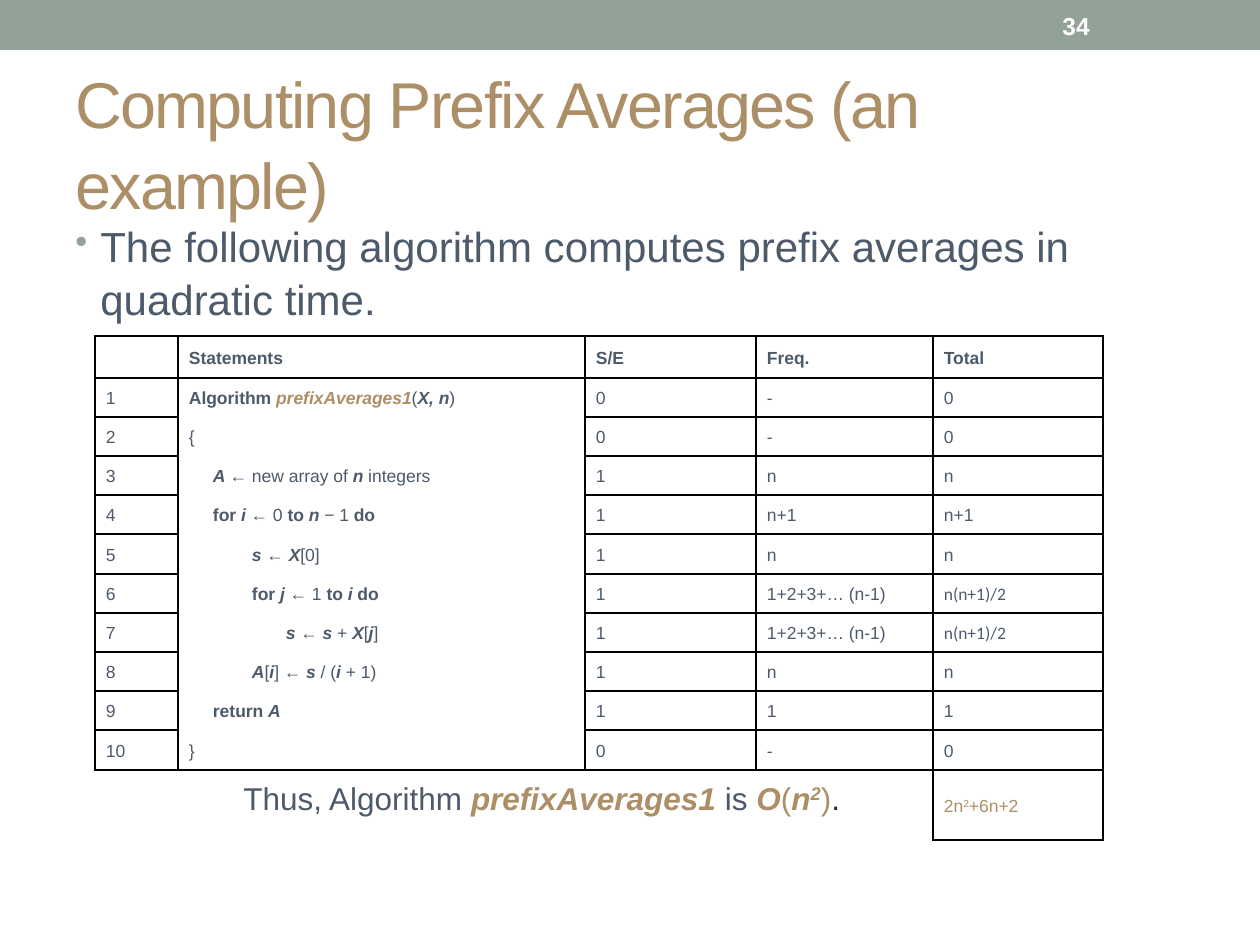
from dataclasses import dataclass

from lxml import etree
from pptx import Presentation
from pptx.dml.color import RGBColor
from pptx.enum.shapes import MSO_SHAPE
from pptx.enum.text import MSO_ANCHOR
from pptx.oxml.ns import qn
from pptx.util import Pt

RECTANGLE = MSO_SHAPE.RECTANGLE
TOP, MIDDLE = MSO_ANCHOR.TOP, MSO_ANCHOR.MIDDLE
SCALE = 914400 / 126


def emu(px):
    return round(px * SCALE)


@dataclass(frozen=True)
class Theme:
    font: str = "Arial"
    formula_font: str = "Calibri"
    bar: str = "93A299"
    accent: str = "AD8F67"
    text: str = "4C5A6A"
    stop: str = "292934"
    white: str = "FFFFFF"
    grid: str = "000000"
    title_size: int = 37
    body_size: int = 24
    note_size: int = 18
    number_size: int = 14
    cell_size: int = 10


class SlideBuilder:
    """Draws styled elements on the current slide."""

    def __init__(self, deck, theme):
        self.theme = theme
        self.page = deck.slides.add_slide(deck.slide_layouts[6])

    def bar(self, left, top, width, height):
        bar = self.page.shapes.add_shape(RECTANGLE, *map(emu, (left, top, width, height)))
        bar.shadow.inherit = False
        bar.fill.solid()
        bar.fill.fore_color.rgb = RGBColor.from_string(self.theme.bar)
        bar.line.fill.background()

    def fill_para(self, para, runs, size, color, font=None):
        """Runs are (text, flags): b bold, i italic, a accent, s superscript, d dark."""
        para.font.name = font or self.theme.font
        para.font.size = Pt(size)
        para.font.color.rgb = RGBColor.from_string(color)
        for text, flags in runs:
            span = para.add_run()
            span.text = text
            if "b" in flags:
                span.font.bold = True
            if "i" in flags:
                span.font.italic = True
            if "a" in flags:
                span.font.color.rgb = RGBColor.from_string(self.theme.accent)
            if "d" in flags:
                span.font.color.rgb = RGBColor.from_string(self.theme.stop)
            if "s" in flags:
                span.font._element.set("baseline", "30000")

    def text(self, area, runs, size, color, anchor=TOP, spacing=1.0, hang=0,
             bullet=None, tracking=0, right_inset=12):
        box = self.page.shapes.add_textbox(*map(emu, area))
        frame = box.text_frame
        frame.word_wrap = True
        frame.vertical_anchor = anchor
        frame.margin_right = emu(right_inset)
        para = frame.paragraphs[0]
        self.fill_para(para, runs, size, color)
        para.line_spacing = spacing
        if hang:
            self.indent(para, hang, -hang)
        if bullet:
            self.bullet(para, bullet)
        if tracking:
            for span in para.runs:
                span.font._element.set("spc", str(tracking * 100))

    def indent(self, para, left, first=0):
        properties = para._p.get_or_add_pPr()
        properties.set("marL", str(emu(left)))
        properties.set("indent", str(emu(first)))

    def bullet(self, para, mark):
        properties = para._p.get_or_add_pPr()
        color = etree.Element(qn("a:buClr"))
        etree.SubElement(color, qn("a:srgbClr"), val=self.theme.bar)
        size = etree.Element(qn("a:buSzPct"), val="85000")
        char = etree.Element(qn("a:buChar"), char=mark)
        default_run = properties.find(qn("a:defRPr"))
        for element in (color, size, char):
            default_run.addprevious(element)

    def border(self, cell, side, visible):
        line = etree.SubElement(cell._tc.get_or_add_tcPr(), qn(f"a:ln{side}"), w=str(Pt(1)))
        if visible:
            fill = etree.SubElement(line, qn("a:solidFill"))
            etree.SubElement(fill, qn("a:srgbClr"), val=self.theme.grid)
        else:
            etree.SubElement(line, qn("a:noFill"))

    def table(self, left, top, widths, heights):
        frame = self.page.shapes.add_table(
            len(heights), len(widths), *map(emu, (left, top, sum(widths), sum(heights))))
        table = frame.table
        table.first_row = table.horz_banding = False
        for column, width in zip(table.columns, widths):
            column.width = emu(width)
        for row, height in zip(table.rows, heights):
            row.height = emu(height)
        return table

    def cell(self, cell, runs, edges, indent=0, font=None):
        for side, visible in edges.items():
            self.border(cell, side, visible)
        cell.fill.background()
        cell.margin_left = cell.margin_right = emu(11)
        cell.margin_top = cell.margin_bottom = emu(6)
        cell.vertical_anchor = MIDDLE
        para = cell.text_frame.paragraphs[0]
        self.fill_para(para, runs, self.theme.cell_size, self.theme.text, font)
        para.line_spacing = 1.15
        para.space_after = Pt(10)
        if indent:
            self.indent(para, indent)


INDENTS = (0, 24, 63, 97)
STEPS = [
    (0, [("Algorithm ", "b"), ("prefixAverages1", "bia"), ("(", ""), ("X, n", "bi"), (")", "")],
     "0", "-", "0"),
    (0, [("{", "")], "0", "-", "0"),
    (1, [("A ", "bi"), ("← new array of ", ""), ("n", "bi"), (" integers", "")], "1", "n", "n"),
    (1, [("for ", "b"), ("i ", "bi"), ("← 0 ", ""), ("to ", "b"), ("n ", "bi"), ("− 1 ", ""),
         ("do", "b")], "1", "n+1", "n+1"),
    (2, [("s ", "bi"), ("← ", ""), ("X", "bi"), ("[0]", "")], "1", "n", "n"),
    (2, [("for ", "b"), ("j ", "bi"), ("← 1 ", ""), ("to ", "b"), ("i ", "bi"), ("do", "b")],
     "1", "1+2+3+… (n-1)", "n(n+1)/2"),
    (3, [("s ", "bi"), ("← ", ""), ("s", "bi"), (" + ", ""), ("X", "bi"), ("[", ""), ("j", "bi"),
         ("]", "")], "1", "1+2+3+… (n-1)", "n(n+1)/2"),
    (2, [("A", "bi"), ("[", ""), ("i", "bi"), ("] ← ", ""), ("s", "bi"), (" / (", ""),
         ("i", "bi"), (" + 1)", "")], "1", "n", "n"),
    (1, [("return ", "b"), ("A", "bi")], "1", "1", "1"),
    (0, [("}", "")], "0", "-", "0"),
]
HEADINGS = ("Statements", "S/E", "Freq.", "Total")
GRAND_TOTAL = [("2n", "a"), ("2", "as"), ("+6n+2", "a")]


def line_above(row, column):
    if row == 12:
        return column == 4
    return column != 1 or row in (0, 1, 11)


def line_before(row, column):
    return row < 11 or column >= 4


def cost_table(builder):
    table = builder.table(95, 336, [83, 407, 171, 177, 170], [42] + [39, 39, 39, 39, 40] * 2 + [70])
    rows = [[[]] + [[(heading, "b")] for heading in HEADINGS]]
    for number, (_, statement, *costs) in enumerate(STEPS, 1):
        rows.append([[(str(number), "")], statement] + [[(cost, "")] for cost in costs])
    rows.append([[], [], [], [], GRAND_TOTAL])
    for row, contents in enumerate(rows):
        for column, runs in enumerate(contents):
            edges = {"L": line_before(row, column), "R": line_before(row, column + 1),
                     "T": line_above(row, column), "B": line_above(row + 1, column)}
            is_step = column == 1 and 1 <= row <= len(STEPS)
            indent = INDENTS[STEPS[row - 1][0]] if is_step else 0
            font = builder.theme.formula_font if runs == [("n(n+1)/2", "")] else None
            builder.cell(table.cell(row, column), runs, edges, indent, font)


def main():
    deck = Presentation()
    deck.slide_width, deck.slide_height = emu(1260), emu(945)
    theme = Theme()
    builder = SlideBuilder(deck, theme)
    builder.bar(0, 0, 1260, 50)
    builder.text((63, 73, 1134, 136), [("Computing Prefix Averages (an example)", "")],
                 theme.title_size, theme.accent, MIDDLE, 1.05, tracking=-1, right_inset=30)
    builder.text((63, 212, 1124, 113),
                 [("The following algorithm computes prefix averages in quadratic time.", "")],
                 theme.body_size, theme.text, spacing=1.05, hang=25, bullet="•")
    builder.text((1050, 3, 147, 45), [("34", "b")], theme.number_size, theme.white, MIDDLE)
    cost_table(builder)
    builder.text((231, 777, 662, 73),
                 [("Thus, Algorithm ", ""), ("prefixAverages1 ", "bia"), ("is ", ""), ("O", "bia"),
                  ("(", "a"), ("n", "bia"), ("2", "bias"), (")", "a"), (".", "d")],
                 theme.note_size, theme.text, spacing=0.9, hang=48)
    deck.save("out.pptx")


if __name__ == "__main__":
    main()
